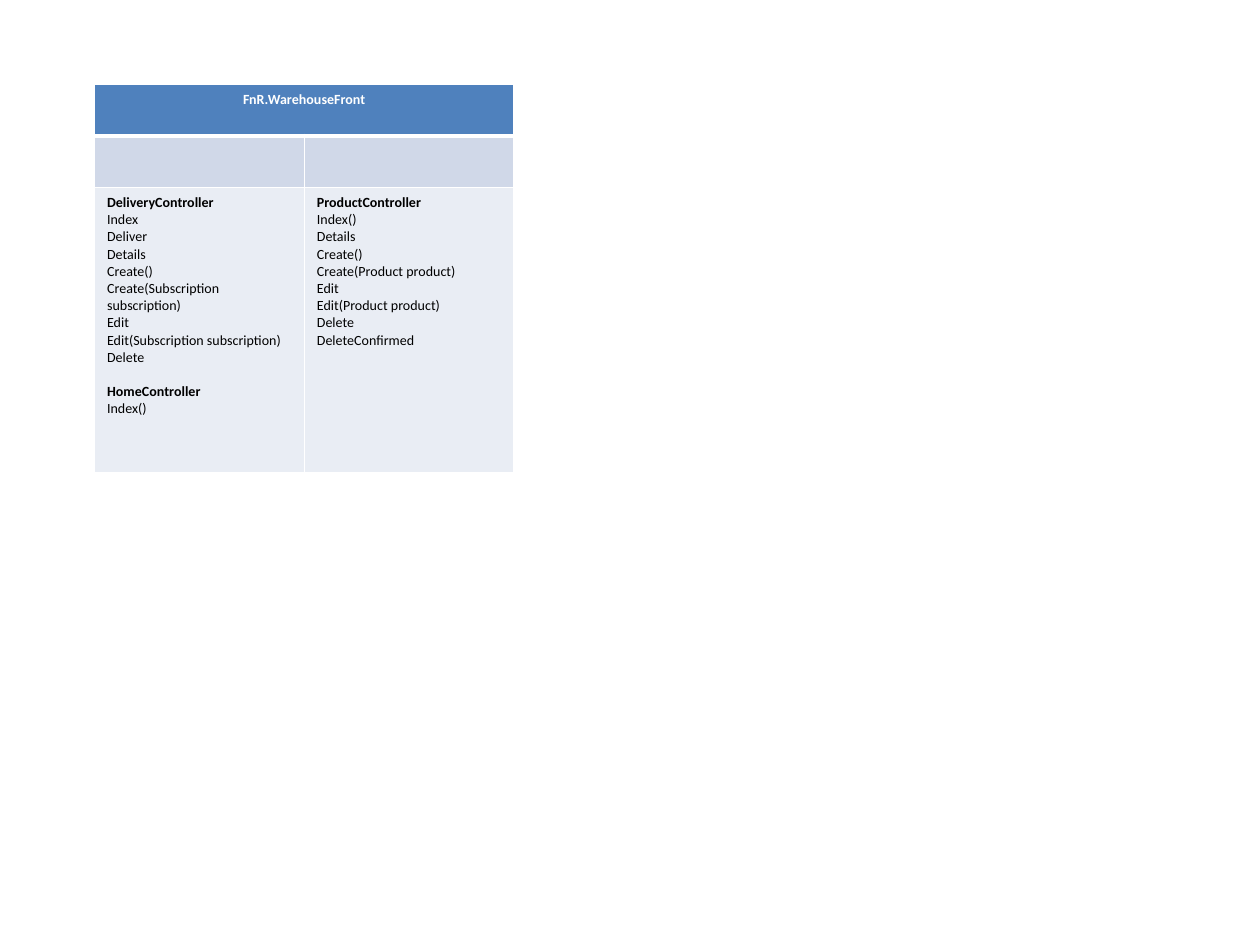
from pptx import Presentation
from pptx.dml.color import RGBColor
from pptx.enum.text import PP_ALIGN as Align
from pptx.oxml import parse_xml
from pptx.oxml.ns import nsdecls
from pptx.util import Inches, Pt

BLANK_LAYOUT = 6
LINE_GAP = 9.8
ROW_FILLS = ["4F81BD", "D0D8E8", "E9EDF4"]
ROW_HEIGHTS = [0.41, 0.41, 2.26]
CONTROLLERS = [
    [
        ("DeliveryController", ["Index", "Deliver", "Details", "Create()",
                                "Create(Subscription subscription)", "Edit",
                                "Edit(Subscription subscription)", "Delete"]),
        ("HomeController", ["Index()"]),
    ],
    [
        ("ProductController", ["Index()", "Details", "Create()",
                               "Create(Product product)", "Edit",
                               "Edit(Product product)", "Delete",
                               "DeleteConfirmed"]),
    ],
]


def color(value):
    return RGBColor.from_string(value)


def write(para, text, size=8, fill="000000", bold=False, align=Align.LEFT, before=0):
    para.alignment = align
    para.space_before = Pt(before)
    span = para.add_run()
    span.text = text
    span.font.name = "Calibri"
    span.font.size = Pt(size)
    span.font.bold = bold
    span.font.color.rgb = color(fill)


def add_border(cell, side, width, fill="FFFFFF"):
    line = parse_xml(
        f'<a:ln{side} {nsdecls("a")} w="{Pt(width)}"><a:solidFill>'
        f'<a:srgbClr val="{fill}"/></a:solidFill></a:ln{side}>')
    cell._tc.get_or_add_tcPr().append(line)


def style_cell(cell, fill, top, bottom):
    for side, width in [("L", 1), ("R", 1), ("T", top), ("B", bottom)]:
        add_border(cell, side, width)
    cell.fill.solid()
    cell.fill.fore_color.rgb = color(fill)


def list_controllers(frame, controllers):
    para = frame.paragraphs[0]
    for index, (name, methods) in enumerate(controllers):
        if index:
            para = frame.add_paragraph()
        write(para, name, bold=True, before=LINE_GAP if index else 0)
        for method in methods:
            write(frame.add_paragraph(), method)


def add_class_table(page, left, top, width):
    columns = len(CONTROLLERS)
    table = page.shapes.add_table(
        len(ROW_HEIGHTS), columns, Inches(left), Inches(top),
        Inches(width), Inches(sum(ROW_HEIGHTS))).table
    for row, (height, fill) in enumerate(zip(ROW_HEIGHTS, ROW_FILLS)):
        table.rows[row].height = Inches(height)
        for column in range(columns):
            style_cell(table.cell(row, column), fill,
                       top=3 if row == 1 else 1, bottom=3 if row == 0 else 1)
    heading = table.cell(0, 0)
    heading.merge(table.cell(0, columns - 1))
    write(heading.text_frame.paragraphs[0], "FnR.WarehouseFront",
          fill="FFFFFF", bold=True, align=Align.CENTER)
    for column, controllers in enumerate(CONTROLLERS):
        list_controllers(table.cell(2, column).text_frame, controllers)


deck = Presentation()
deck.slide_width, deck.slide_height = Inches(10), Inches(7.5)
page = deck.slides.add_slide(deck.slide_layouts[BLANK_LAYOUT])
add_class_table(page, left=0.75, top=0.67, width=3.33)
deck.save("out.pptx")
